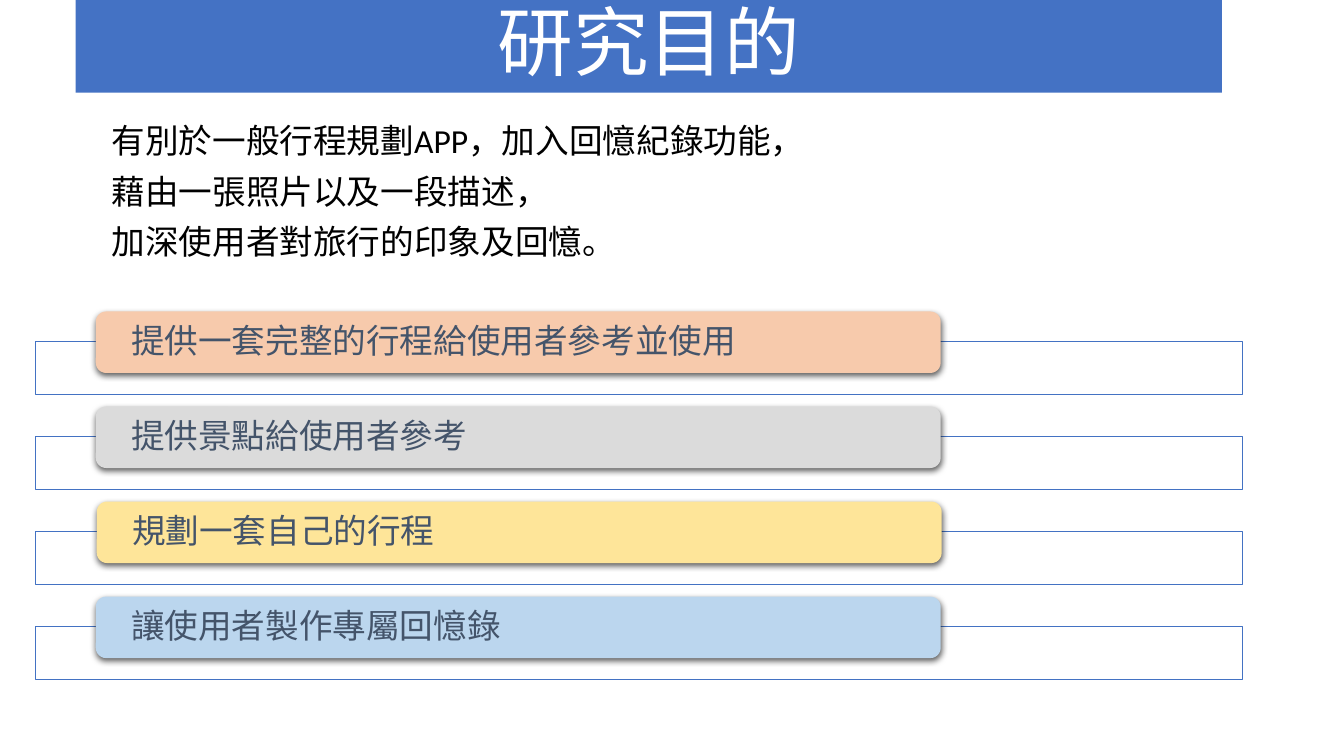
from lxml import etree
from pptx import Presentation
from pptx.dml.color import RGBColor
from pptx.enum.shapes import MSO_SHAPE
from pptx.enum.text import MSO_ANCHOR, PP_ALIGN
from pptx.oxml import parse_xml
from pptx.oxml.ns import nsdecls, qn
from pptx.util import Inches, Pt

RECT, ROUND = MSO_SHAPE.RECTANGLE, MSO_SHAPE.ROUNDED_RECTANGLE
MIDDLE = MSO_ANCHOR.MIDDLE
LEFT, CENTER = PP_ALIGN.LEFT, PP_ALIGN.CENTER

SHADOW = f"""<a:effectLst {nsdecls('a')}>
  <a:outerShdw blurRad="57150" dist="19050" dir="5400000" algn="ctr" rotWithShape="0">
    <a:srgbClr val="000000"><a:alpha val="63000"/></a:srgbClr>
  </a:outerShdw>
</a:effectLst>"""


def paint(fill, color):
    fill.solid()
    fill.fore_color.rgb = RGBColor.from_string(color)


def style(frame, size, color, align):
    frame.word_wrap = True
    for i, para in enumerate(frame.paragraphs):
        para.alignment = align
        para.line_spacing = 0.9
        para.space_before = Pt(10 if i else 0)
        para.font.size = Pt(size)
        para.font.name = "Calibri"
        paint(para.font.fill, color)


prs = Presentation()
prs.slide_width, prs.slide_height = Inches(13.33), Inches(7.5)
slide = prs.slides.add_slide(prs.slide_layouts[5])
shapes = slide.shapes

# Title banner
title = shapes.title
title.left, title.top = Inches(0.75), Inches(0)
title.width, title.height = Inches(11.37), Inches(0.92)
paint(title.fill, "4472C4")
title.text_frame.text = "研究目的"
title.text_frame.vertical_anchor = MIDDLE
style(title.text_frame, 54, "FFFFFF", CENTER)

# Goals: a coloured bar over an outlined frame
goals = [
    ("提供一套完整的行程給使用者參考並使用", "F7CAAC", 0.95),
    ("提供景點給使用者參考", "DBDBDB", 0.95),
    ("規劃一套自己的行程", "FEE599", 0.96),
    ("讓使用者製作專屬回憶錄", "BBD6EE", 0.95),
]
for i, (goal, color, left) in enumerate(goals):
    top = 3.09 + i * 0.943
    frame = shapes.add_shape(RECT, Inches(0.35), Inches(top + 0.3),
                             Inches(11.97), Inches(0.52))
    frame.shadow.inherit = False
    paint(frame.fill, "FFFFFF")
    white = frame.fill._xPr.find(qn("a:solidFill"))[0]
    etree.SubElement(white, qn("a:alpha"), val="90000")
    paint(frame.line.fill, "4372C3")
    frame.line.width = Pt(0.75)

    bar = shapes.add_shape(ROUND, Inches(left), Inches(top),
                           Inches(8.38), Inches(0.61))
    bar.adjustments[0] = 0.167
    paint(bar.fill, color)
    bar.line.fill.background()
    bar._element.spPr.append(parse_xml(SHADOW))
    text = bar.text_frame
    text.margin_left = text.margin_right = Inches(0.32)
    text.margin_top = text.margin_bottom = 0
    text.vertical_anchor = MIDDLE
    text.text = goal
    style(text, 24, "44546A", LEFT)

# Introduction
intro = shapes.add_textbox(Inches(1.01), Inches(1.19), Inches(11.37), Inches(1.86))
intro.text_frame.text = "\n".join([
    "有別於一般行程規劃APP，加入回憶紀錄功能，",
    "藉由一張照片以及一段描述，",
    "加深使用者對旅行的印象及回憶。",
])
style(intro.text_frame, 24, "000000", LEFT)

prs.save("out.pptx")
